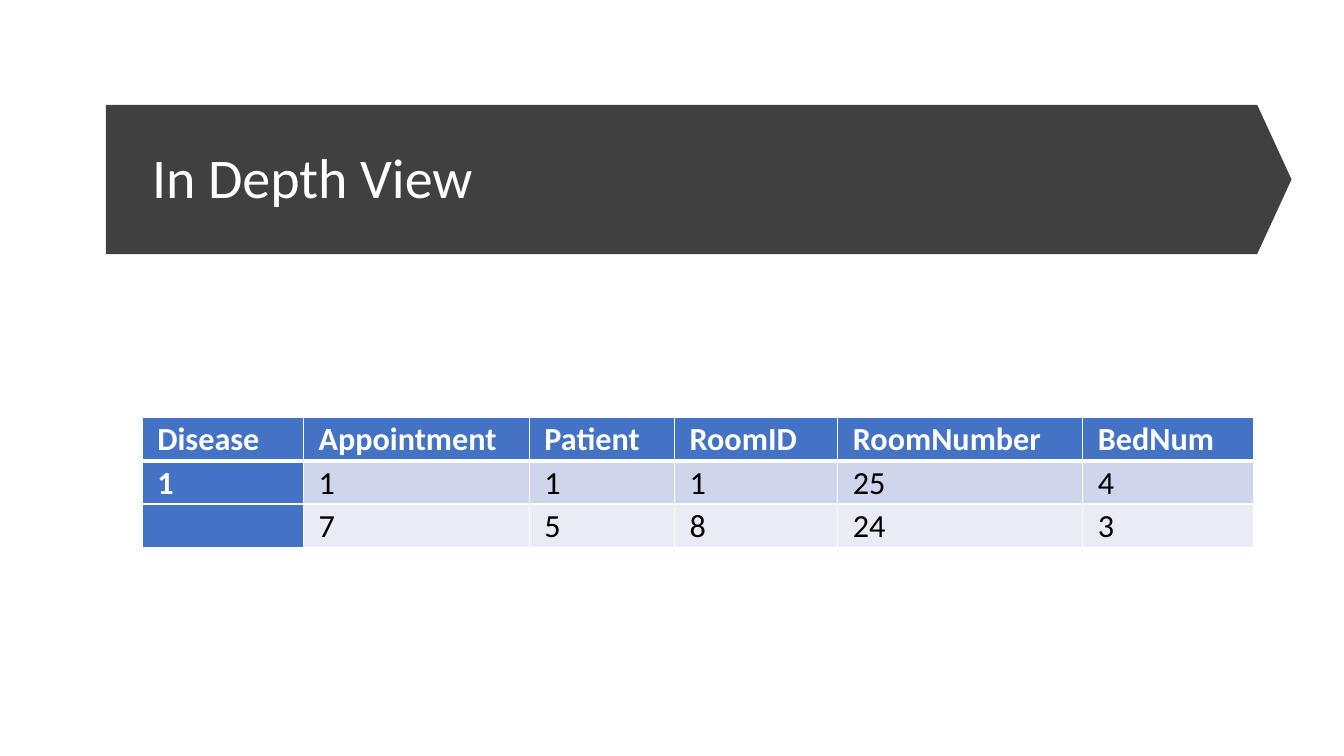
from lxml.etree import SubElement
from pptx import Presentation
from pptx.dml.color import RGBColor
from pptx.enum.shapes import MSO_SHAPE
from pptx.enum.text import MSO_ANCHOR
from pptx.oxml.ns import qn
from pptx.util import Inches, Pt

COLUMN_WIDTHS = [1.6, 2.24, 1.44, 1.62, 2.43, 1.69]
ROW_HEIGHT = 0.43
ROWS = [
    ["Disease", "Appointment", "Patient", "RoomID", "RoomNumber", "BedNum"],
    ["1", "1", "1", "1", "25", "4"],
    ["", "7", "5", "8", "24", "3"],
]


def color(value):
    return RGBColor.from_string(value)


class SlideBuilder:
    font_name = "Calibri"
    white = "FFFFFF"
    black = "000000"
    banner_fill = "404040"
    header_fill = "4472C4"
    band_fills = ["CFD5EA", "E9EBF5"]

    def __init__(self, slide):
        self.slide = slide

    def style_text(self, paragraph, text, size, text_color, bold, spacing):
        paragraph.text = text
        paragraph.line_spacing = spacing
        paragraph.font.name = self.font_name
        paragraph.font.size = Pt(size)
        paragraph.font.bold = bold
        paragraph.font.color.rgb = color(text_color)

    def banner(self, left, top, width, height):
        shape = self.slide.shapes.add_shape(
            MSO_SHAPE.PENTAGON, Inches(left), Inches(top), Inches(width), Inches(height))
        shape.adjustments[0] = 0.23
        shape.shadow.inherit = False
        shape.fill.solid()
        shape.fill.fore_color.rgb = color(self.banner_fill)
        shape.line.fill.background()

    def title(self, text, left, top, width, height):
        shape = self.slide.shapes.add_textbox(
            Inches(left), Inches(top), Inches(width), Inches(height))
        frame = shape.text_frame
        frame.word_wrap = True
        frame.vertical_anchor = MSO_ANCHOR.MIDDLE
        self.style_text(frame.paragraphs[0], text, 40, self.white, False, 0.9)

    def table(self, rows, left, top, widths, row_height):
        shape = self.slide.shapes.add_table(
            len(rows), len(widths), Inches(left), Inches(top),
            Inches(sum(widths)), Inches(row_height * len(rows)))
        table = shape.table
        table.first_col = True
        for column, width in zip(table.columns, widths):
            column.width = Inches(width)
        for row_index, values in enumerate(rows):
            table.rows[row_index].height = Inches(row_height)
            for column_index, text in enumerate(values):
                self.cell(table.cell(row_index, column_index), text, row_index, column_index)

    def cell(self, cell, text, row_index, column_index):
        heading = row_index == 0 or column_index == 0
        cell.margin_left = cell.margin_right = Inches(0.15)
        cell.margin_top = cell.margin_bottom = 0
        text_color = self.white if heading else self.black
        self.style_text(cell.text_frame.paragraphs[0], text, 23, text_color, heading, 1.07)
        self.borders(cell, 3 if row_index == 1 else 1, 3 if row_index == 0 else 1)
        cell.fill.solid()
        fill = self.header_fill if heading else self.band_fills[row_index - 1]
        cell.fill.fore_color.rgb = color(fill)

    def borders(self, cell, top_width, bottom_width):
        properties = cell._tc.get_or_add_tcPr()
        for side, width in (("L", 1), ("R", 1), ("T", top_width), ("B", bottom_width)):
            line = SubElement(properties, qn(f"a:ln{side}"), w=str(Pt(width)))
            SubElement(SubElement(line, qn("a:solidFill")), qn("a:srgbClr"), val=self.white)


def main():
    presentation = Presentation()
    presentation.slide_width = Inches(13.33)
    presentation.slide_height = Inches(7.5)
    builder = SlideBuilder(presentation.slides.add_slide(presentation.slide_layouts[6]))
    builder.banner(1.05, 1.04, 11.76, 1.48)
    builder.title("In Depth View", 1.41, 1.32, 10.96, 0.94)
    builder.table(ROWS, 1.41, 4.14, COLUMN_WIDTHS, ROW_HEIGHT)
    presentation.save("out.pptx")


if __name__ == "__main__":
    main()
